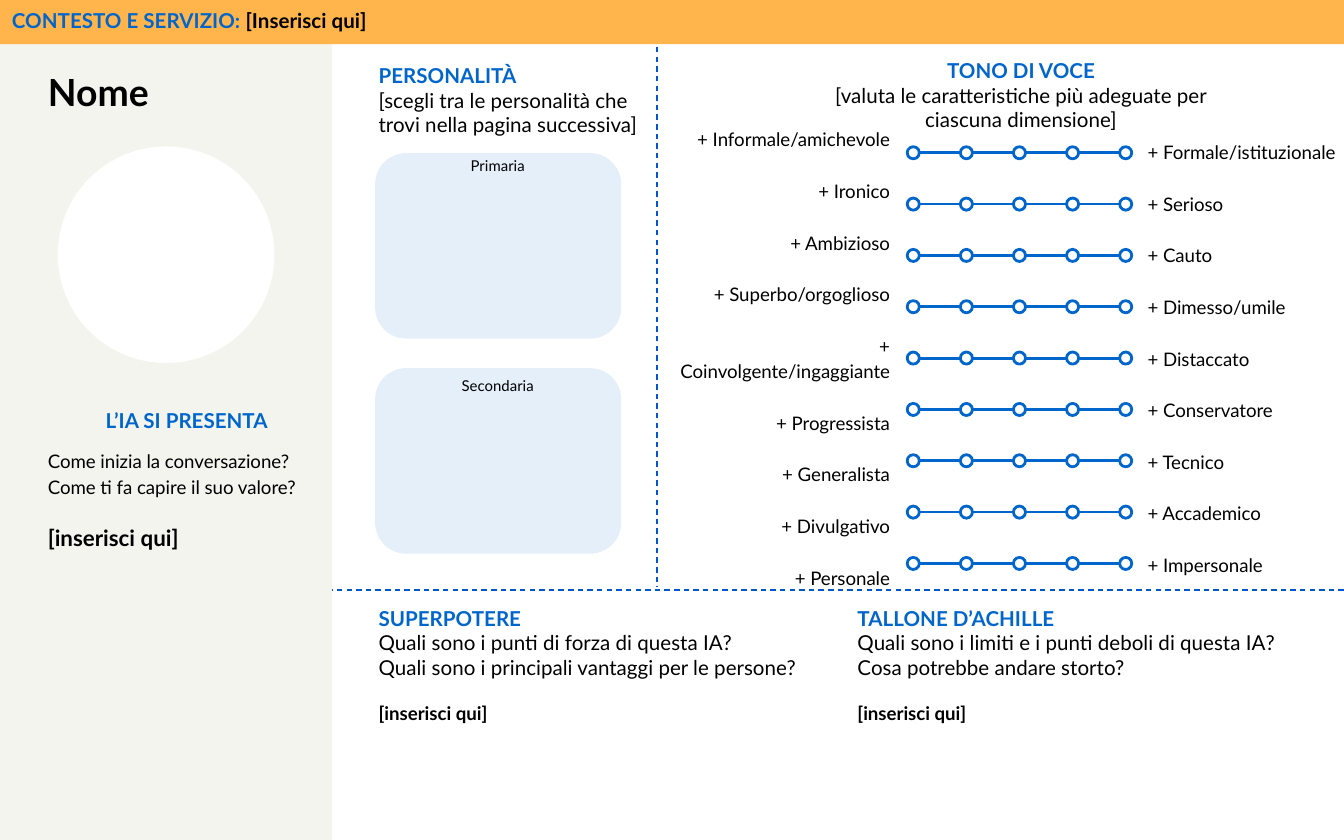
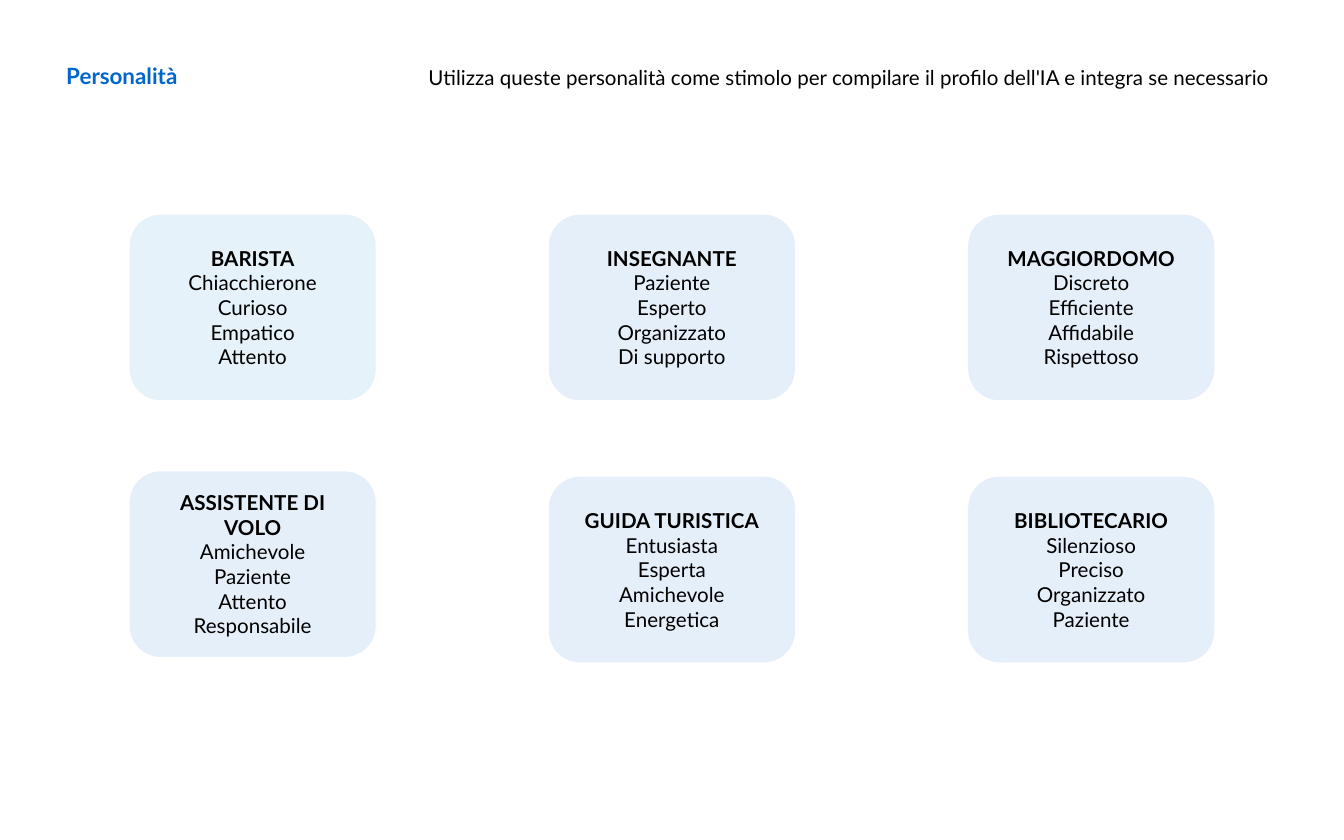
"""Builds a profile sheet for an AI assistant and its page of sample personalities."""
from collections import namedtuple

from lxml import etree
from pptx import Presentation
from pptx.dml.color import RGBColor
from pptx.enum import dml, shapes, text
from pptx.oxml import ns
from pptx.util import Pt

BLUE = RGBColor(0x00, 0x66, 0xCC)
DIVIDER_BLUE = RGBColor(0x00, 0x56, 0xCB)
CARD_BLUE = RGBColor(0x01, 0x66, 0xCC)
CARD_SKY = RGBColor(0x00, 0x84, 0xD1)
ORANGE = RGBColor(0xFF, 0xB5, 0x4C)
SAND = RGBColor(0xF4, 0xF4, 0xEF)
WHITE = RGBColor(0xFF, 0xFF, 0xFF)
BLACK = RGBColor(0x00, 0x00, 0x00)

Style = namedtuple("Style", "size color bold")
HEADING = Style(11, BLUE, True)
BODY = Style(11, BLACK, False)
STRONG = Style(11, BLACK, True)
SMALL = Style(10, BLACK, False)
SMALL_STRONG = Style(10, BLACK, True)
PROMPT = Style(12, BLACK, True)
LABEL = Style(8, BLACK, False)
NAME = Style(20, BLACK, True)
PAGE_TITLE = Style(12, BLUE, True)

LEFT, CENTER, RIGHT = text.PP_ALIGN.LEFT, text.PP_ALIGN.CENTER, text.PP_ALIGN.RIGHT
TOP, MIDDLE = text.MSO_ANCHOR.TOP, text.MSO_ANCHOR.MIDDLE
RECT = shapes.MSO_SHAPE.RECTANGLE
OVAL = shapes.MSO_SHAPE.OVAL
ROUNDED = shapes.MSO_SHAPE.ROUNDED_RECTANGLE

CARD_SIZE = (131.8, 99.4)
DOT = 6.5
BLANK_LINE = 13.8

TONES = [
    ("Informale/amichevole", "Formale/istituzionale"),
    ("Ironico", "Serioso"),
    ("Ambizioso", "Cauto"),
    ("Superbo/orgoglioso", "Dimesso/umile"),
    ("Coinvolgente/ingaggiante", "Distaccato"),
    ("Progressista", "Conservatore"),
    ("Generalista", "Tecnico"),
    ("Divulgativo", "Accademico"),
    ("Personale", "Impersonale"),
]

PERSONALITIES = [
    ("BARISTA", "Chiacchierone", "Curioso", "Empatico", "Attento"),
    ("INSEGNANTE", "Paziente", "Esperto", "Organizzato", "Di supporto"),
    ("MAGGIORDOMO", "Discreto", "Efficiente", "Affidabile", "Rispettoso"),
    ("ASSISTENTE DI VOLO", "Amichevole", "Paziente", "Attento", "Responsabile"),
    ("GUIDA TURISTICA", "Entusiasta", "Esperta", "Amichevole", "Energetica"),
    ("BIBLIOTECARIO", "Silenzioso", "Preciso", "Organizzato", "Paziente"),
]


class Sheet:
    """Holds the shared style and draws on the current slide."""

    font = "Lato"

    def __init__(self):
        self.deck = Presentation()
        self.deck.slide_width, self.deck.slide_height = Pt(720), Pt(450)
        self.slide = None

    def new_slide(self):
        """Starts a slide with the title-only layout."""
        self.slide = self.deck.slides.add_slide(self.deck.slide_layouts[5])

    def fill_frame(self, frame, lines, align=LEFT, anchor=TOP, spacing=None, gap=0, inset=7.2):
        """Fills a frame with lines, each one (words, style) or a list of such runs."""
        frame.word_wrap = True
        frame.auto_size = text.MSO_AUTO_SIZE.NONE
        frame.vertical_anchor = anchor
        frame.margin_left = frame.margin_right = Pt(7.2)
        frame.margin_top = frame.margin_bottom = Pt(inset)
        for index, line in enumerate(lines):
            paragraph = frame.add_paragraph() if index else frame.paragraphs[0]
            paragraph.alignment = align
            if spacing:
                paragraph.line_spacing = spacing
            if index and gap:
                paragraph.space_before = Pt(gap)
            for words, style in line if isinstance(line, list) else [line]:
                run = paragraph.add_run()
                run.text = words
                run.font.name = self.font
                run.font.size = Pt(style.size)
                run.font.bold = style.bold
                run.font.color.rgb = style.color

    def title(self, box, words, style):
        """Places the title in front of everything drawn so far."""
        heading = self.slide.shapes.title
        heading.left, heading.top, heading.width, heading.height = map(Pt, box)
        self.fill_frame(heading.text_frame, [(words, style)], anchor=MIDDLE)
        self.slide.shapes._spTree.append(heading._element)

    def text(self, box, lines, **layout):
        """Adds a text box."""
        frame = self.slide.shapes.add_textbox(*map(Pt, box)).text_frame
        self.fill_frame(frame, lines, **layout)
        return frame

    def shape(self, kind, box, fill, outline=None):
        """Adds a flat preset shape."""
        part = self.slide.shapes.add_shape(kind, *map(Pt, box))
        part.shadow.inherit = False
        part.fill.solid()
        part.fill.fore_color.rgb = fill
        if outline:
            part.line.color.rgb = outline
            part.line.width = Pt(1.5)
        else:
            part.line.fill.background()
        return part

    def card(self, left, top, fill=CARD_BLUE):
        """Adds a rounded card with a fill that is 10% opaque."""
        card = self.shape(ROUNDED, (left, top, *CARD_SIZE), fill)
        card.adjustments[0] = 0.167
        tint = card._element.spPr.find(".//" + ns.qn("a:srgbClr"))
        etree.SubElement(tint, ns.qn("a:alpha"), val="10000")
        return card

    def line(self, start, end, color, width, dashed=False):
        """Adds a straight line."""
        line = self.slide.shapes.add_connector(
            shapes.MSO_CONNECTOR.STRAIGHT, *map(Pt, start + end))
        line.line.color.rgb = color
        line.line.width = Pt(width)
        if dashed:
            line.line.dash_style = dml.MSO_LINE.DASH
        etree.SubElement(line._element.spPr, ns.qn("a:effectLst"))

    def scale(self, left, top, step, count=5):
        """Adds a row of joined dots."""
        middle = top + DOT / 2
        self.line((left + DOT, middle), (left + step * (count - 1), middle), BLUE, 1.5)
        for index in range(count):
            self.shape(OVAL, (left + step * index, top, DOT, DOT), WHITE, BLUE)


def build_profile(sheet):
    """Draws the sheet to be filled in."""
    sheet.new_slide()
    sheet.shape(RECT, (-0.7, -2, 178.5, 453), SAND)
    sheet.shape(OVAL, (31, 78.5, 116, 116), WHITE)
    sheet.title((18.5, 34.5, 150.5, 29.5), "Nome", NAME)
    sheet.text((49.5, 213, 113, 24.5), [("L’IA SI PRESENTA", HEADING)], anchor=MIDDLE)
    opening = sheet.text((18.5, 232, 150.5, 108.5), [
        ("Come inizia la conversazione?", SMALL),
        ("Come ti fa capire il suo valore?", SMALL),
        ("[inserisci qui]", PROMPT)], spacing=1.15)
    opening.paragraphs[2].line_spacing = 1.0
    opening.paragraphs[2].space_before = Pt(BLANK_LINE)

    sheet.line((352, -5.8), (352, 314.6), DIVIDER_BLUE, 0.75, dashed=True)
    sheet.line((720, 316), (178, 316), DIVIDER_BLUE, 0.75, dashed=True)

    sheet.text((195.8, 26.6, 154.1, 24.5), [
        ("PERSONALITÀ", HEADING),
        ("[scegli tra le personalità che trovi nella pagina successiva]", BODY)])
    for label, card_top, label_top in (("Primaria", 82, 82.1), ("Secondaria", 197.2, 200.2)):
        sheet.card(201, card_top)
        sheet.text((231.8, label_top, 69.8, 13), [(label, LABEL)],
                   align=CENTER, anchor=MIDDLE, inset=5.8)

    sheet.text((434.7, 23.8, 224.6, 25.2), [
        ("TONO DI VOCE", HEADING),
        ("[valuta le caratteristiche più adeguate per ciascuna dimensione]", BODY)],
        align=CENTER)
    informal, formal = zip(*TONES)
    for box, tones, align in (((350.5, 78.5, 133.3, 225.4), informal, RIGHT),
                              ((607.7, 78.5, 115.6, 225.4), formal, LEFT)):
        sheet.text(box, [("+ " + tone, SMALL) for tone in tones], align=align,
                   anchor=MIDDLE, spacing=1.15, gap=BLANK_LINE)
    for row in range(len(TONES)):
        sheet.scale(486, 78.6 + 27.5 * row, 28.45)

    for left, heading, questions in (
            (195.8, "SUPERPOTERE", ("Quali sono i punti di forza di questa IA?",
                                    "Quali sono i principali vantaggi per le persone?")),
            (452.3, "TALLONE D’ACHILLE", ("Quali sono i limiti e i punti deboli di questa IA?",
                                          "Cosa potrebbe andare storto?"))):
        sheet.text((left, 332, 249, 24.5),
                   [(heading, HEADING)] + [(question, BODY) for question in questions],
                   anchor=MIDDLE)
        sheet.text((left, 367.2, 244, 44.6), [("[inserisci qui]", SMALL_STRONG)], spacing=1.15)

    band = sheet.shape(RECT, (-0.7, -2, 720.7, 25.7), ORANGE)
    sheet.fill_frame(band.text_frame, [[("CONTESTO E SERVIZIO: ", HEADING),
                                        ("[Inserisci qui]", STRONG)]], anchor=MIDDLE)


def build_personalities(sheet):
    """Draws the grid of sample personalities."""
    sheet.new_slide()
    sheet.title((28.3, 28, 305.3, 24.5), "Personalità", PAGE_TITLE)
    sheet.text((201.6, 27.4, 485.7, 25.9), [
        ("Utilizza queste personalità come stimolo per compilare il profilo dell'IA "
         "e integra se necessario", BODY)], align=RIGHT)
    tops = (115, 115, 115, 252.5, 255.4, 255.4)
    for index, ((role, *traits), top) in enumerate(zip(PERSONALITIES, tops)):
        fill = CARD_BLUE if index else CARD_SKY
        card = sheet.card(69.5 + 224.6 * (index % 3), top, fill)
        sheet.fill_frame(card.text_frame, [(role, STRONG)] + [(trait, BODY) for trait in traits],
                         align=CENTER, anchor=MIDDLE, inset=3.6)


def main():
    """Builds and saves both slides."""
    sheet = Sheet()
    build_profile(sheet)
    build_personalities(sheet)
    sheet.deck.save("out.pptx")


if __name__ == "__main__":
    main()
